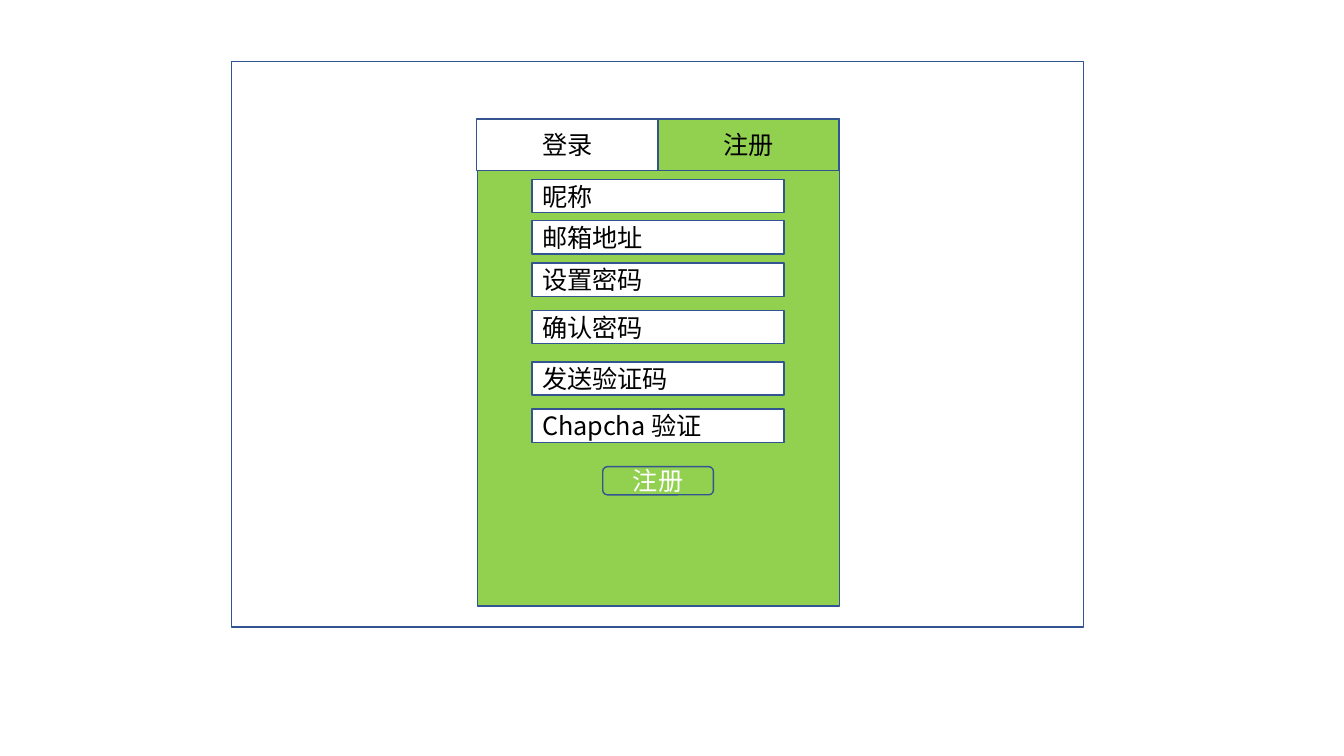
"""Build a wireframe slide of a registration form with login and register tabs."""
from lxml.etree import SubElement
from pptx import Presentation
from pptx.dml.color import RGBColor
from pptx.enum.shapes import MSO_SHAPE as Shape
from pptx.enum.text import MSO_ANCHOR as Anchor, PP_ALIGN as Align
from pptx.oxml.ns import qn
from pptx.util import Cm, Pt

WHITE = RGBColor(0xFF, 0xFF, 0xFF)
BLACK = RGBColor(0x00, 0x00, 0x00)
GREEN = RGBColor(0x92, 0xD0, 0x50)
BLUE = RGBColor(0x32, 0x54, 0x91)
FONT = "Noto Sans CJK SC"

TABS = [("登录", WHITE), ("注册", GREEN)]
FIELDS = [
    ("昵称", 4.52),
    ("邮箱地址", 5.56),
    ("设置密码", 6.63),
    ("确认密码", 7.82),
    ("发送验证码", 9.12),
    ("Chapcha 验证", 10.31),
]
SUBMIT = "注册"

PAGE = (5.84, 1.55, 21.46, 14.25)
PANEL = (12.04, 3, 9.12, 12.27)
TAB_LEFT, TAB_WIDTH, TAB_HEIGHT = 12.01, 4.57, 1.3
FIELD_LEFT, FIELD_WIDTH, FIELD_HEIGHT = 13.41, 6.35, 0.84
BUTTON = (15.19, 11.76, 2.79, 0.71)


def add_box(slide, bounds, fill, outline=Shape.RECTANGLE):
    """Add a filled shape with a thin blue border."""
    box = slide.shapes.add_shape(outline, *(Cm(length) for length in bounds))
    box.shadow.inherit = False
    box.fill.solid()
    box.fill.fore_color.rgb = fill
    box.line.color.rgb = BLUE
    box.line.width = Pt(1)
    return box


def write(box, text, *, color=BLACK, align=Align.CENTER, size=18):
    """Write one formatted line into a box."""
    frame = box.text_frame
    frame.word_wrap = True
    frame.vertical_anchor = Anchor.MIDDLE
    label = frame.paragraphs[0]
    label.alignment = align
    run = label.add_run()
    run.text = text
    run.font.size = Pt(size)
    run.font.color.rgb = color
    run.font.name = FONT
    SubElement(run.font._element, qn("a:ea")).set("typeface", FONT)


def main():
    """Draw the form and save the deck."""
    deck = Presentation()
    deck.slide_width, deck.slide_height = Cm(33.87), Cm(19.05)
    slide = deck.slides.add_slide(deck.slide_layouts[6])

    add_box(slide, PAGE, WHITE)
    add_box(slide, PANEL, GREEN)

    for index, (tab, fill) in enumerate(TABS):
        left = TAB_LEFT + index * TAB_WIDTH
        write(add_box(slide, (left, PANEL[1], TAB_WIDTH, TAB_HEIGHT), fill), tab)

    for field, top in FIELDS:
        bounds = (FIELD_LEFT, top, FIELD_WIDTH, FIELD_HEIGHT)
        write(add_box(slide, bounds, WHITE), field, align=Align.LEFT)

    button = add_box(slide, BUTTON, GREEN, Shape.ROUNDED_RECTANGLE)
    write(button, SUBMIT, color=WHITE)

    deck.save("out.pptx")


if __name__ == "__main__":
    main()
